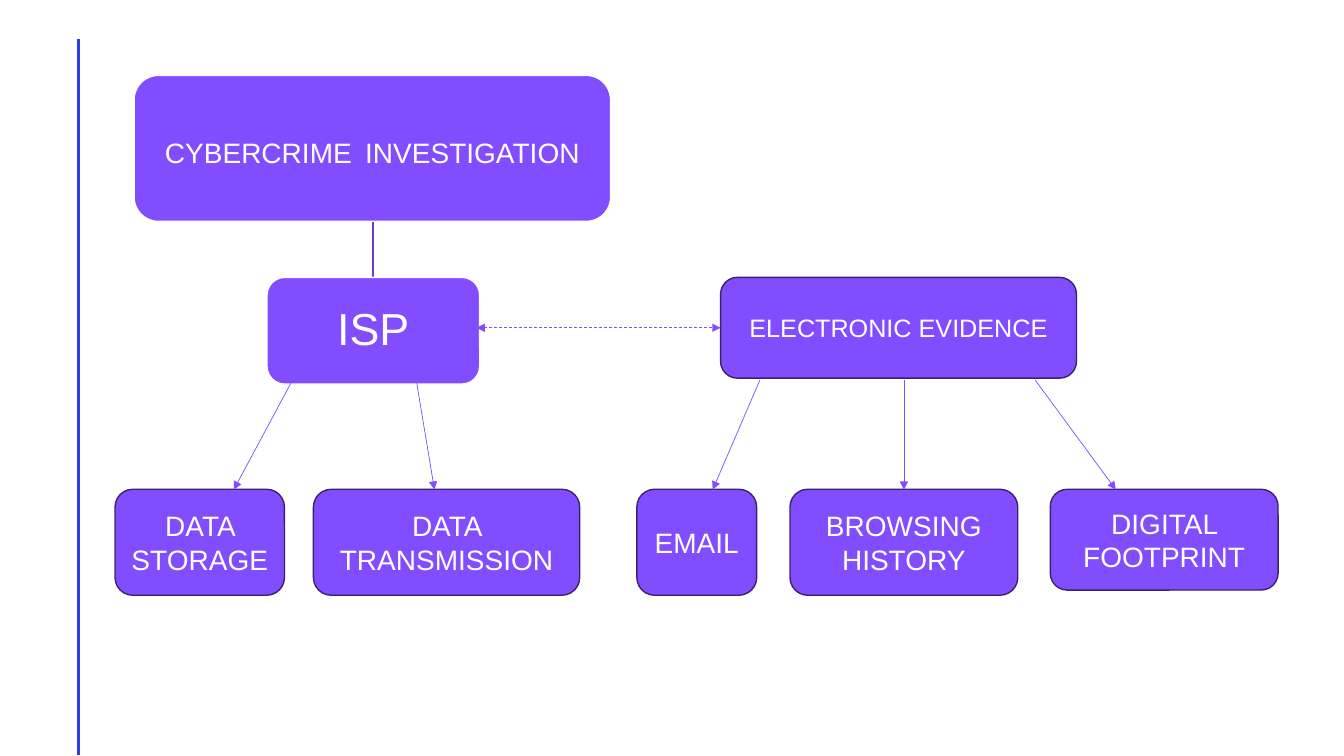
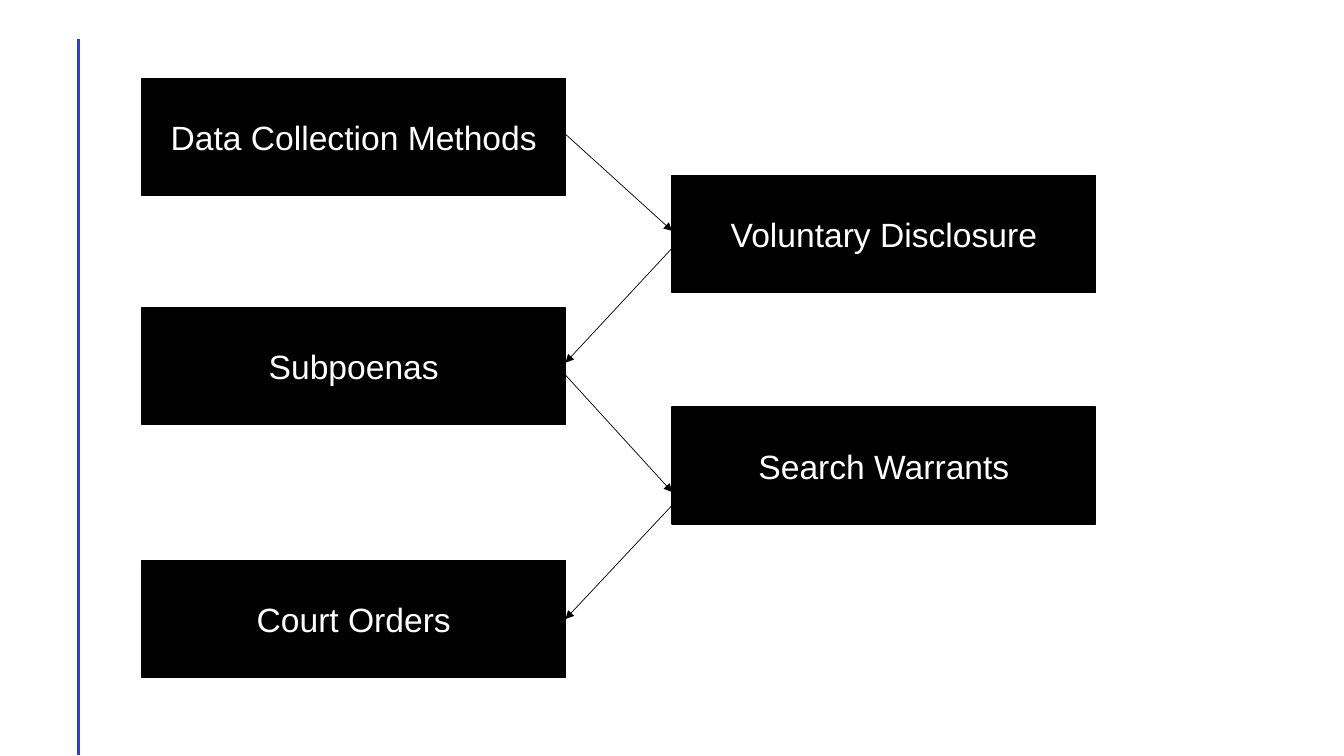
"""Builds two diagram slides on cybercrime investigation."""
from lxml import etree
from pptx import Presentation
from pptx.dml.color import RGBColor
from pptx.enum import dml, shapes, text
from pptx.oxml import ns
from pptx.util import Cm, Pt

COLORS = {
    "rule": "2E3CE0",
    "violet": "814DFF",
    "outline": "392270",
    "stem": "673ECC",
    "black": "000000",
    "white": "FFFFFF",
}
FONT = "Arial"


def rgb(name):
    """Return the named colour."""
    return RGBColor.from_string(COLORS[name])


def add_box(slide, runs, at, size, fill="violet", line="outline",
            kind=shapes.MSO_SHAPE.ROUNDED_RECTANGLE, spacing=1.0):
    """Add a filled box with centred text; runs are (text, size or None) pairs."""
    sp = slide.shapes.add_shape(kind, *map(Cm, at))
    sp.shadow.inherit = False
    sp.fill.solid()
    sp.fill.fore_color.rgb = rgb(fill)
    sp.line.color.rgb = rgb(line)
    sp.line.width = Pt(1)
    tf = sp.text_frame
    tf.word_wrap = True
    tf.vertical_anchor = text.MSO_ANCHOR.MIDDLE
    p = tf.paragraphs[0]
    p.alignment = text.PP_ALIGN.CENTER
    p.line_spacing = spacing
    p.font.name = FONT
    p.font.size = Pt(size)
    p.font.color.rgb = rgb("white")
    for words, run_size in runs:
        r = p.add_run()
        r.text = words
        if run_size:
            r.font.size = Pt(run_size)
    return sp


def add_line(slide, start, end, color, width=0.5, ends=(), dashed=False):
    """Add a straight line with arrowheads at the named ends."""
    cxn = slide.shapes.add_connector(
        shapes.MSO_CONNECTOR.STRAIGHT, *map(Cm, (*start, *end)))
    cxn.line.color.rgb = rgb(color)
    cxn.line.width = Pt(width)
    if dashed:
        cxn.line.dash_style = dml.MSO_LINE.DASH
    sp_pr = cxn.element.find(ns.qn("p:spPr"))
    for name in ends:
        etree.SubElement(sp_pr.find(ns.qn("a:ln")), ns.qn(f"a:{name}"), type="triangle")
    etree.SubElement(sp_pr, ns.qn("a:effectLst"))
    return cxn


def add_layout_rule(slide):
    """Put the vertical rule on the layout that the slides share."""
    rule = add_line(slide, (1.98, 0.99), (1.98, 19.03), "rule", 2)
    slide.slide_layout.shapes.element.append(rule.element)


def add_investigation_tree(slide):
    """Draw the tree of investigation, provider and evidence."""
    add_box(slide, [("CYBERCRIME", None), (" ", 34), ("INVESTIGATION", None)],
            (3.38, 1.9, 12.01, 3.68), 20, line="white", spacing=0.9)
    add_line(slide, (9.4, 5.59), (9.4, 6.99), "stem", 1)
    add_box(slide, [("ISP", None)], (6.73, 6.99, 5.36, 2.69), 32,
            line="white", spacing=0.9)
    add_box(slide, [("ELECTRONIC EVIDENCE", None)], (18.16, 6.99, 8.97, 2.54), 18)
    leaves = [
        ("DATA STORAGE", 2.9, 4.27, 2.67, 7.37, 5.89),
        ("DATA TRANSMISSION", 7.9, 6.71, 2.67, 10.49, 10.95),
        ("EMAIL", 16.05, 3.02, 2.67, 19.15, 17.96),
        ("BROWSING HISTORY", 19.91, 5.74, 2.67, 22.78, 22.78),
        ("DIGITAL FOOTPRINT", 26.47, 5.74, 2.54, 26.09, 28.12),
    ]
    for label, left, width, height, start, end in leaves:
        add_box(slide, [(label, None)], (left, 12.33, width, height), 20)
        add_line(slide, (start, 9.58), (end, 12.34), "violet", ends=["tailEnd"])
    add_line(slide, (12.01, 8.26), (18.16, 8.26), "violet",
             ends=["headEnd", "tailEnd"], dashed=True)


def add_methods_flow(slide):
    """Draw the zigzag flow of data collection methods."""
    lefts, width, height = (3.58, 16.94), 10.67, 2.95
    edges = (lefts[0] + width, lefts[1])
    steps = [
        ("Data Collection Methods", 1.98),
        ("Voluntary Disclosure", 4.42),
        ("Subpoenas", 7.75),
        ("Search Warrants", 10.26),
        ("Court Orders", 14.12),
    ]
    for i, (label, top) in enumerate(steps):
        add_box(slide, [(label, None)], (lefts[i % 2], top, width, height), 24,
                "black", "black", shapes.MSO_SHAPE.RECTANGLE)
    arrows = [(3.38, 5.82), (6.25, 9.14), (9.45, 12.4), (12.73, 15.6)]
    for i, (start, end) in enumerate(arrows):
        add_line(slide, (edges[i % 2], start), (edges[(i + 1) % 2], end),
                 "black", ends=["tailEnd"])


def main():
    """Build and save the presentation."""
    prs = Presentation()
    prs.slide_width, prs.slide_height = Cm(33.87), Cm(19.05)
    blank = prs.slide_layouts[6]
    tree, flow = (prs.slides.add_slide(blank) for _ in range(2))
    add_layout_rule(tree)
    add_investigation_tree(tree)
    add_methods_flow(flow)
    prs.save("out.pptx")


if __name__ == "__main__":
    main()
